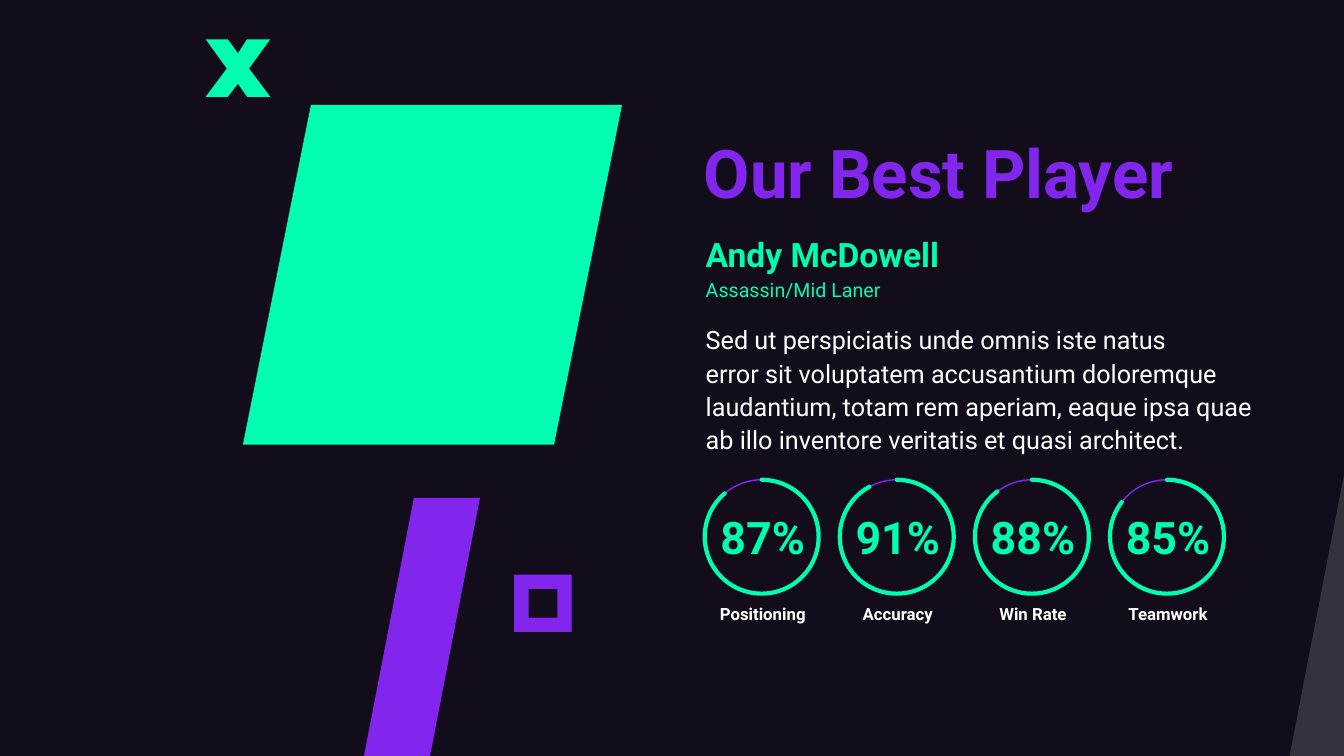
from pptx import Presentation
from pptx.dml.color import RGBColor
from pptx.enum.shapes import MSO_SHAPE as Preset
from pptx.enum.text import MSO_ANCHOR as Anchor, MSO_AUTO_SIZE as AutoSize, PP_ALIGN as Align
from pptx.oxml.ns import qn
from pptx.util import Inches, Pt
from lxml import etree

NIGHT = RGBColor(0x13, 0x0D, 0x1B)
MINT = RGBColor(0x01, 0xFD, 0xB0)
VIOLET = RGBColor(0x82, 0x26, 0xEE)
WHITE = RGBColor(0xFF, 0xFF, 0xFF)


class PlayerSlide:
    font = "Roboto"

    def __init__(self, deck):
        self.slide = deck.slides.add_slide(deck.slide_layouts[5])
        self.shapes = self.slide.shapes
        background = self.slide.background.fill
        background.solid()
        background.fore_color.rgb = NIGHT

    def fill(self, shape, color):
        shape.shadow.inherit = False
        shape.fill.solid()
        shape.fill.fore_color.rgb = color
        shape.line.fill.background()
        return shape

    def block(self, preset, box, color, adjust):
        shape = self.shapes.add_shape(preset, *map(Inches, box))
        shape.adjustments[0] = adjust
        return self.fill(shape, color)

    def outline(self, points, color):
        start, *rest = [(Inches(x), Inches(y)) for x, y in points]
        builder = self.shapes.build_freeform(*start)
        builder.add_line_segments(rest, close=True)
        return self.fill(builder.convert_to_shape(), color)

    def stroke(self, preset, box, color, width):
        shape = self.shapes.add_shape(preset, *map(Inches, box))
        shape.shadow.inherit = False
        shape.fill.background()
        shape.line.color.rgb = color
        shape.line.width = Pt(width)
        return shape

    def arc(self, box, end_degrees, color, width):
        shape = self.stroke(Preset.ARC, box, color, width)
        # Adjustments count 60,000ths of a degree, divided by 100,000
        for index, degrees in enumerate((270, end_degrees)):
            shape.adjustments[index] = degrees * 0.6
        shape.line._get_or_add_ln().set("cap", "rnd")

    def text(self, words, box, size, color, bold=False, align=Align.LEFT,
             anchor=Anchor.TOP, spacing=1.1, holder=None):
        holder = holder or self.shapes.add_textbox(0, 0, 0, 0)
        frame = holder.text_frame
        frame.text = words
        paragraph = frame.paragraphs[0]
        formats = [
            (holder, dict(zip(("left", "top", "width", "height"), map(Inches, box)))),
            (frame, {"word_wrap": True, "auto_size": AutoSize.NONE, "vertical_anchor": anchor,
                     "margin_left": 0, "margin_top": 0, "margin_right": 0, "margin_bottom": 0}),
            (paragraph, {"alignment": align, "line_spacing": spacing,
                         "space_before": Pt(0), "space_after": Pt(0)}),
        ]
        for run in paragraph.runs:
            formats.append((run.font, {"name": self.font, "size": Pt(size), "bold": bold}))
            run.font.color.rgb = color
        for target, values in formats:
            for name, value in values.items():
                setattr(target, name, value)

    def title(self, words, box, size, color):
        self.text(words, box, size, color, bold=True, anchor=Anchor.BOTTOM,
                  spacing=0.9, holder=self.shapes.title)


deck = Presentation()
deck.slide_width, deck.slide_height = Inches(13.33), Inches(7.5)
page = PlayerSlide(deck)

# Decoration
page.block(Preset.PARALLELOGRAM, (3.61, 4.94, 1.15, 2.56), VIOLET, 0.43)
page.block(Preset.PARALLELOGRAM, (2.41, 1.04, 3.76, 3.37), MINT, 0.2)
page.block(Preset.FRAME, (5.1, 5.7, 0.57, 0.57), VIOLET, 0.25)
page.outline([(2.04, 0.39), (2.26, 0.39), (2.36, 0.53), (2.45, 0.39), (2.68, 0.39), (2.47, 0.68),
              (2.68, 0.96), (2.45, 0.96), (2.36, 0.83), (2.26, 0.96), (2.04, 0.96), (2.25, 0.68)],
             MINT)
corner = page.outline([(13.33, 4.71), (13.33, 7.5), (12.79, 7.5)], WHITE)
corner_color = corner.fill._xPr.find(qn("a:solidFill"))[0]
etree.SubElement(corner_color, qn("a:alpha")).set("val", "15000")

# Title and player profile
page.title("Our Best Player", (6.98, 0, 5.49, 2.11), 48, VIOLET)
page.text("Andy McDowell", (7, 2.11, 5.47, 0.61), 24, MINT, bold=True, anchor=Anchor.BOTTOM)
page.text("Assassin/Mid Laner", (7, 2.73, 5.47, 0.46), 14, MINT)
page.text("Sed ut perspiciatis unde omnis iste natus\verror sit voluptatem accusantium doloremque\v"
          "laudantium, totam rem aperiam, eaque ipsa quae ab illo inventore veritatis et quasi "
          "architect.", (7, 3.19, 5.47, 1.57), 18, WHITE)

# Skill gauges: label, score, end angle of the arc
SKILLS = [("Positioning", "87%", 229.5), ("Accuracy", "91%", 241.4),
          ("Win Rate", "88%", 232.7), ("Teamwork", "85%", 217.6)]
GAUGE_LEFT, GAUGE_STEP, GAUGE_SIZE = 6.99, 1.34, 1.13
for position, (skill, score, end_degrees) in enumerate(SKILLS):
    left = GAUGE_LEFT + position * GAUGE_STEP
    ring = (left, 4.76, GAUGE_SIZE, GAUGE_SIZE)
    page.text(score, (left, 4.77, 1.15, 0.82), 32, MINT, bold=True,
              align=Align.CENTER, anchor=Anchor.BOTTOM)
    page.text(skill, (left, 5.97, 1.15, 0.91), 12, WHITE, bold=True, align=Align.CENTER)
    page.stroke(Preset.OVAL, ring, VIOLET, 1)
    page.arc(ring, end_degrees, MINT, 3)

deck.save("out.pptx")
